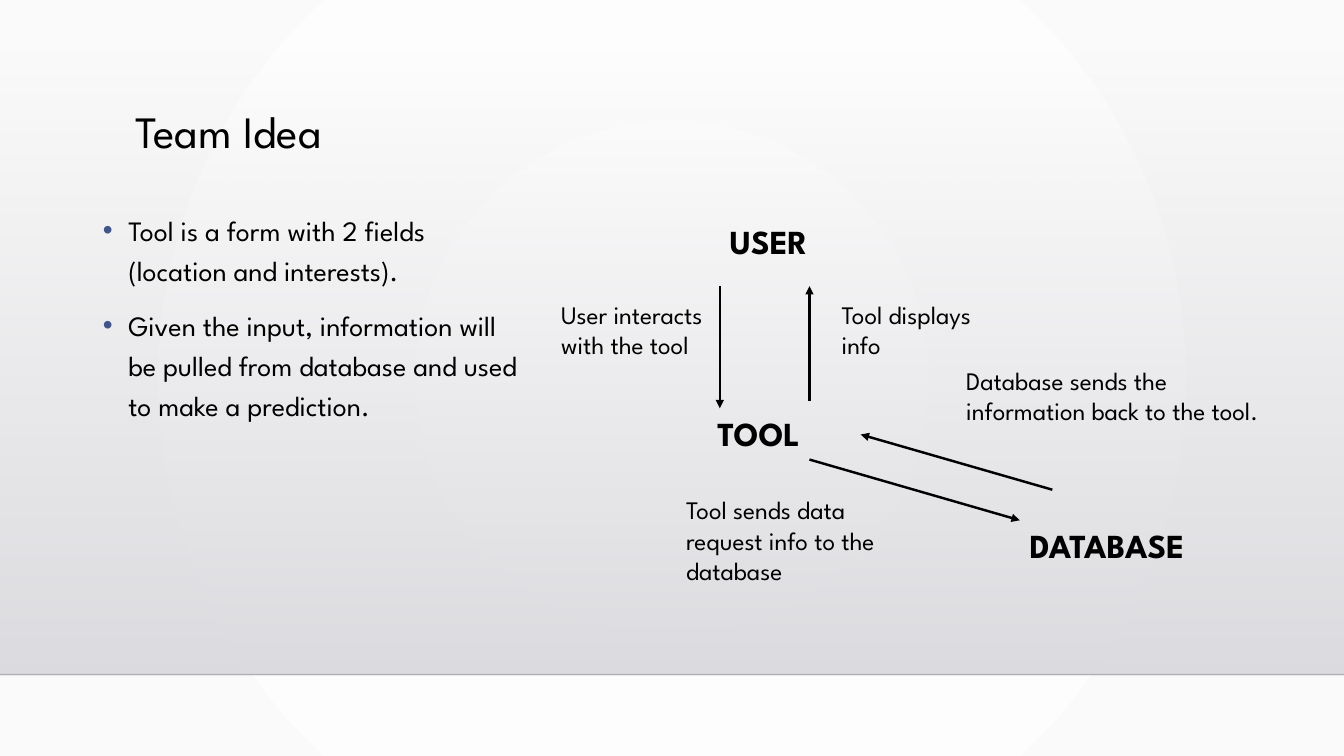
"""Build the Team Idea slide: a bullet list beside a user-tool-database flow."""
from dataclasses import dataclass

from lxml import etree
from pptx import Presentation
from pptx.dml.color import RGBColor
from pptx.enum.shapes import MSO_CONNECTOR, MSO_SHAPE
from pptx.enum.text import MSO_ANCHOR, MSO_AUTO_SIZE, PP_ALIGN
from pptx.oxml import parse_xml
from pptx.oxml.ns import nsdecls, qn
from pptx.util import Cm, Pt

STRAIGHT = MSO_CONNECTOR.STRAIGHT
RECT = MSO_SHAPE.RECTANGLE
TOP = MSO_ANCHOR.TOP
NO_FIT = MSO_AUTO_SIZE.NONE
LEFT = PP_ALIGN.LEFT

WIDTH, HEIGHT = 33.87, 19.05
FLOOR = 17.0
LINEAR = '<a:lin ang="5400000" scaled="0"/>'
RADIAL = ('<a:path path="circle"><a:fillToRect l="50000" t="50000" '
          'r="50000" b="50000"/></a:path>')

BULLETS = [
    "Tool is a form with 2 fields (location and interests).",
    "Given the input, information will be pulled from database and used "
    "to make a prediction.",
]
NODES = [
    ("USER", 18.14, 5.44, 3.18),
    ("TOOL", 17.83, 10.29, 3.12),
    ("DATABASE", 25.7, 13.11, 5.84),
]
LABELS = [
    ("User interacts with the tool", 13.89, 7.42, 4.55, 1.8),
    ("Tool displays info", 20.96, 7.42, 3.91, 1.8),
    ("Database sends the information back to the tool.", 24.1, 9.07, 8.1, 1.8),
    ("Tool sends data request info to the database", 17.04, 12.34, 5.31, 2.57),
]
ARROWS = [
    (18.14, 7.21, 18.14, 10.29),
    (20.4, 10.11, 20.4, 7.21),
    (20.4, 11.58, 25.7, 13.11),
    (26.52, 12.34, 21.69, 10.95),
]


@dataclass(frozen=True)
class Theme:
    font: str = "League Spartan"
    ink: str = "000000"
    bullet: str = "415588"
    page: tuple = (("FFFFFF", 100), ("FAFAFA", 100))
    band: tuple = (("DCDCE0", 0), ("DEDEE2", 100))
    title: int = 32
    body: int = 20
    node: int = 24
    label: int = 18


THEME = Theme()


def write(p, text, size, bold=False, spacing=None, before=0):
    """Put one formatted run into a paragraph."""
    p.alignment = LEFT
    p.line_spacing = spacing
    p.space_before = Pt(before)
    r = p.add_run()
    r.text = text
    r.font.name = THEME.font
    r.font.size = Pt(size)
    r.font.bold = bold
    r.font.color.rgb = RGBColor.from_string(THEME.ink)


def place(sp, x, y, w, h):
    """Position a text shape and return its top-anchored, wrapping frame."""
    sp.left, sp.top, sp.width, sp.height = Cm(x), Cm(y), Cm(w), Cm(h)
    tf = sp.text_frame
    tf.word_wrap = True
    tf.auto_size = NO_FIT
    tf.vertical_anchor = TOP
    return tf


def add_text(slide, text, x, y, w, h, **fmt):
    """Add a text box with one paragraph."""
    tf = place(slide.shapes.add_textbox(0, 0, 0, 0), x, y, w, h)
    write(tf.paragraphs[0], text, **fmt)


def set_gradient(fill, element, stops, shading):
    """Give a fill two colour stops with opacity and a shading rule."""
    fill.gradient()
    old = element.find(".//" + qn("a:gradFill"))
    gs = "".join(
        f'<a:gs pos="{i * 100000}"><a:srgbClr val="{color}">'
        f'<a:alpha val="{alpha * 1000}"/></a:srgbClr></a:gs>'
        for i, (color, alpha) in enumerate(stops))
    new = parse_xml(f'<a:gradFill {nsdecls("a")} rotWithShape="1">'
                    f'<a:gsLst>{gs}</a:gsLst>{shading}</a:gradFill>')
    old.getparent().replace(old, new)


def add_line(slide, x1, y1, x2, y2, width=1.75, arrow=True, opacity=100):
    """Add a straight shadowless line, with an arrowhead if wanted."""
    cn = slide.shapes.add_connector(STRAIGHT, Cm(x1), Cm(y1), Cm(x2), Cm(y2))
    cn.line.width = Pt(width)
    cn.line.color.rgb = RGBColor.from_string(THEME.ink)
    sp_pr = cn.element.spPr
    ln = sp_pr.find(qn("a:ln"))
    color = ln.find(".//" + qn("a:srgbClr"))
    etree.SubElement(color, qn("a:alpha"), val=str(opacity * 1000))
    if arrow:
        etree.SubElement(ln, qn("a:tailEnd"), type="triangle")
    etree.SubElement(sp_pr, qn("a:effectLst"))
    return cn


def add_backdrop(slide):
    """Set the page gradient and the shaded band with its floor line."""
    set_gradient(slide.background.fill, slide.element, THEME.page, RADIAL)
    band = slide.shapes.add_shape(RECT, 0, Cm(1.3), Cm(WIDTH), Cm(FLOOR - 1.3))
    band.shadow.inherit = False
    band.line.fill.background()
    set_gradient(band.fill, band.element, THEME.band, LINEAR)
    floor = add_line(slide, 0, FLOOR, WIDTH, FLOOR, width=1, arrow=False, opacity=20)
    tree = slide.shapes.element
    for i, sp in enumerate((band, floor)):
        tree.insert(2 + i, sp.element)


def add_bullet(p):
    """Give a paragraph a coloured hanging bullet."""
    pr = p._p.get_or_add_pPr()
    pr.set("marL", str(Cm(0.64)))
    pr.set("indent", str(-Cm(0.64)))
    color = etree.SubElement(pr, qn("a:buClr"))
    etree.SubElement(color, qn("a:srgbClr"), val=THEME.bullet)
    etree.SubElement(pr, qn("a:buFont"), typeface="Arial")
    etree.SubElement(pr, qn("a:buChar"), char="•")


def fill_placeholders(slide):
    """Write the title and the bullet list."""
    title, body = slide.placeholders
    tf = place(title, 3.15, 2.64, 26.67, 2.92)
    write(tf.paragraphs[0], "Team Idea", THEME.title, spacing=0.9)
    tf = place(body, 2.34, 5.08, 11.25, 11.73)
    for i, text in enumerate(BULLETS):
        p = tf.add_paragraph() if i else tf.paragraphs[0]
        write(p, text, THEME.body, spacing=1.2, before=10)
        add_bullet(p)


def main():
    """Build and save the slide."""
    prs = Presentation()
    prs.slide_width, prs.slide_height = Cm(WIDTH), Cm(HEIGHT)
    slide = prs.slides.add_slide(prs.slide_layouts[1])
    add_backdrop(slide)
    fill_placeholders(slide)
    for text, x, y, w in NODES:
        add_text(slide, text, x, y, w, 1.27, size=THEME.node, bold=True)
    for text, *box in LABELS:
        add_text(slide, text, *box, size=THEME.label)
    for ends in ARROWS:
        add_line(slide, *ends)
    prs.save("out.pptx")


if __name__ == "__main__":
    main()
